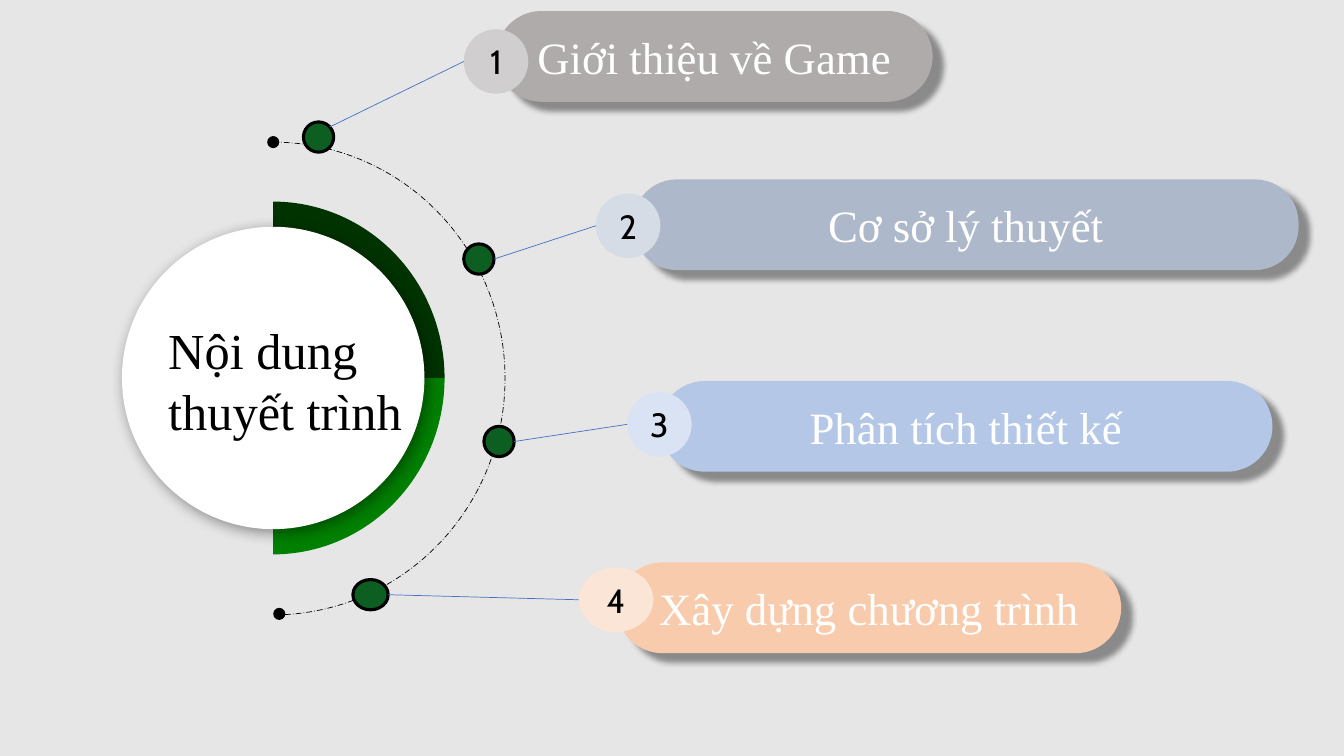
import math

from lxml import etree
from pptx import Presentation
from pptx.dml.color import RGBColor
from pptx.enum import dml, shapes, text
from pptx.oxml import ns
from pptx.util import Inches, Pt

BACKGROUND = RGBColor(0xE7, 0xE6, 0xE6)
BLACK = RGBColor(0, 0, 0)
WHITE = RGBColor(0xFF, 0xFF, 0xFF)
DARK_GREEN = RGBColor(0x00, 0x33, 0x00)
GREEN = RGBColor(0x00, 0x80, 0x00)
DOT_GREEN = RGBColor(0x0D, 0x5F, 0x21)
LINK_BLUE = RGBColor(0x44, 0x72, 0xC4)
GREY, PALE_GREY = RGBColor(0xAF, 0xAB, 0xAB), RGBColor(0xD0, 0xCE, 0xCE)
SLATE, PALE_SLATE = RGBColor(0xAD, 0xB9, 0xCA), RGBColor(0xD6, 0xDC, 0xE5)
BLUE, PALE_BLUE = RGBColor(0xB4, 0xC7, 0xE7), RGBColor(0xDA, 0xE3, 0xF3)
ORANGE, PALE_ORANGE = RGBColor(0xF8, 0xCB, 0xAD), RGBColor(0xFB, 0xE5, 0xD6)

TITLE_FONT = {"name": "Times New Roman", "size": Pt(36)}
BAR_FONT = {"name": "Times New Roman", "size": Pt(32)}
BADGE_FONT = {"name": "Cabin", "size": Pt(24)}

BAR_HEIGHT = 0.9
DOT_HEIGHT = 0.3
BADGE_HEIGHT = 0.64
HUB_X, HUB_Y = 2.71, 3.75

# label, bar (left, top, width, rounding), dot (left, top, width),
# badge (left, top, width), link start, bar colour, badge colour
TOPICS = [
    ("Giới thiệu về Game", (4.92, 0.11, 4.33, 0.5), (3.01, 1.21, 0.3),
     (4.6, 0.29, 0.64), (3.27, 1.26), GREY, PALE_GREY),
    ("Cơ sở lý thuyết", (6.28, 1.78, 6.6, 0.48), (4.6, 2.42, 0.3),
     (5.91, 1.92, 0.64), (4.9, 2.57), SLATE, PALE_SLATE),
    ("Phân tích thiết kế", (6.54, 3.78, 6.08, 0.5), (4.8, 4.23, 0.3),
     (6.22, 3.89, 0.64), (5.1, 4.38), BLUE, PALE_BLUE),
    ("Xây dựng chương trình", (6.12, 5.58, 5, 0.5), (3.5, 5.75, 0.35),
     (5.74, 5.63, 0.74), (3.85, 5.9), ORANGE, PALE_ORANGE),
]


def paint(sp, fill, line=None, width=0):
    sp.shadow.inherit = False
    if fill is None:
        sp.fill.background()
    else:
        sp.fill.solid()
        sp.fill.fore_color.rgb = fill
    if line is None:
        sp.line.fill.background()
    else:
        sp.line.color.rgb = line
        sp.line.width = Pt(width)


def add_preset(s, kind, box, fill, line=None, width=0):
    sp = s.shapes.add_shape(kind, *map(Inches, box))
    paint(sp, fill, line, width)
    return sp


def add_ellipse(s, box, fill, line=None, width=0):
    return add_preset(s, shapes.MSO_SHAPE.OVAL, box, fill, line, width)


def add_shadow(sp, blur, distance, angle):
    """Give the shape a black outer shadow of 40 % opacity."""
    effects = sp._element.spPr.find(ns.qn("a:effectLst"))
    shadow = etree.SubElement(
        effects, ns.qn("a:outerShdw"), blurRad=str(Pt(blur)),
        dist=str(Pt(distance)), dir=str(angle * 60000), algn="tl", rotWithShape="0")
    color = etree.SubElement(shadow, ns.qn("a:srgbClr"), val=str(BLACK))
    etree.SubElement(color, ns.qn("a:alpha"), val="40000")


def write(sp, words, font, color, align, anchor):
    tf = sp.text_frame
    tf.word_wrap = True
    tf.vertical_anchor = anchor
    p = tf.paragraphs[0]
    p.alignment = align
    r = p.add_run()
    r.text = words
    for key, value in font.items():
        setattr(r.font, key, value)
    r.font.color.rgb = color


def write_centered(sp, words, font, color):
    write(sp, words, font, color, text.PP_ALIGN.CENTER, text.MSO_ANCHOR.MIDDLE)


def add_quarter(s, first_degree, fill):
    """Draw a quarter of the elliptical disc around the hub."""
    angles = [math.radians(first_degree + step) for step in range(0, 91, 2)]
    rim = [(Inches(HUB_X + 1.7 * math.cos(a)), Inches(HUB_Y + 1.75 * math.sin(a)))
           for a in angles]
    outline = s.shapes.build_freeform(Inches(HUB_X), Inches(HUB_Y))
    outline.add_line_segments(rim, close=True)
    paint(outline.convert_to_shape(), fill)


def add_link(s, start, end):
    link = s.shapes.add_connector(
        shapes.MSO_CONNECTOR.STRAIGHT, *map(Inches, start + end))
    link.line.color.rgb = LINK_BLUE
    link.line.width = Pt(0.5)
    etree.SubElement(link._element.spPr, ns.qn("a:effectLst"))


def add_hub(s):
    arc = add_preset(s, shapes.MSO_SHAPE.ARC, (0.41, 1.41, 4.6, 4.69), None, BLACK, 0.5)
    arc.adjustments[0], arc.adjustments[1] = 162, 53.7
    arc.line.dash_style = dml.MSO_LINE.LONG_DASH_DOT
    for left, top in ((2.65, 1.35), (2.71, 6.03)):
        add_ellipse(s, (left, top, 0.12, 0.12), BLACK)
    add_quarter(s, -90, DARK_GREEN)
    add_quarter(s, 0, GREEN)
    disc = add_ellipse(s, (1.21, 2.25, 3, 3), WHITE)
    add_shadow(disc, 10, 3, 45)
    title = s.shapes.add_textbox(*map(Inches, (1.57, 3.12, 2.58, 1.31)))
    write(title, "Nội dung thuyết trình", TITLE_FONT, BLACK,
          text.PP_ALIGN.LEFT, text.MSO_ANCHOR.TOP)


def add_topic(s, number, label, bar_place, dot_place, badge_place, start, color, pale):
    *place, rounding = bar_place
    bar = add_preset(s, shapes.MSO_SHAPE.ROUNDED_RECTANGLE, (*place, BAR_HEIGHT), color)
    bar.adjustments[0] = rounding
    add_shadow(bar, 4, 10, 40)
    write_centered(bar, label, BAR_FONT, WHITE)
    add_ellipse(s, (*dot_place, DOT_HEIGHT), DOT_GREEN, BLACK, 2.25)
    badge = add_ellipse(s, (*badge_place, BADGE_HEIGHT), pale)
    write_centered(badge, str(number), BADGE_FONT, BLACK)
    left, top, _ = badge_place
    add_link(s, start, (left, top + BADGE_HEIGHT / 2))


def main():
    prs = Presentation()
    prs.slide_width, prs.slide_height = Inches(13.33), Inches(7.5)
    s = prs.slides.add_slide(prs.slide_layouts[6])
    s.background.fill.solid()
    s.background.fill.fore_color.rgb = BACKGROUND
    add_hub(s)
    for number, topic in enumerate(TOPICS, 1):
        add_topic(s, number, *topic)
    prs.save("out.pptx")


if __name__ == "__main__":
    main()
